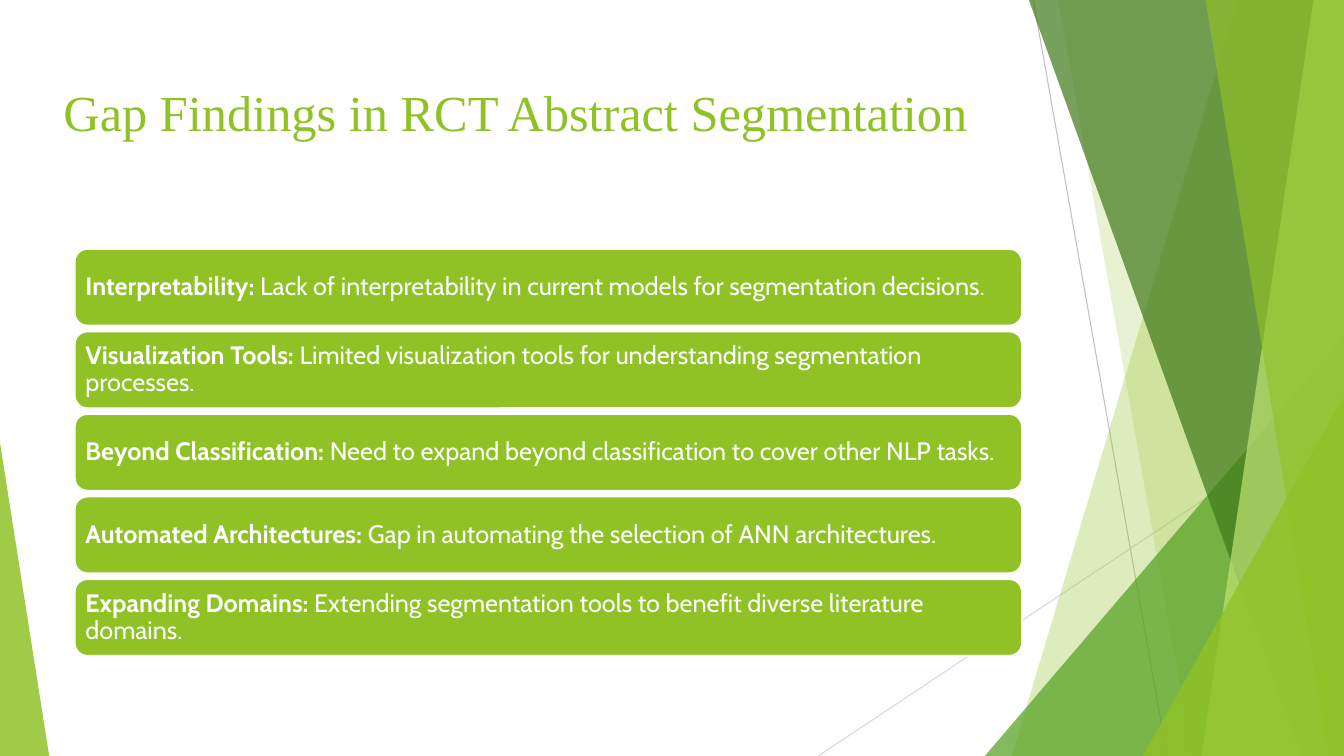
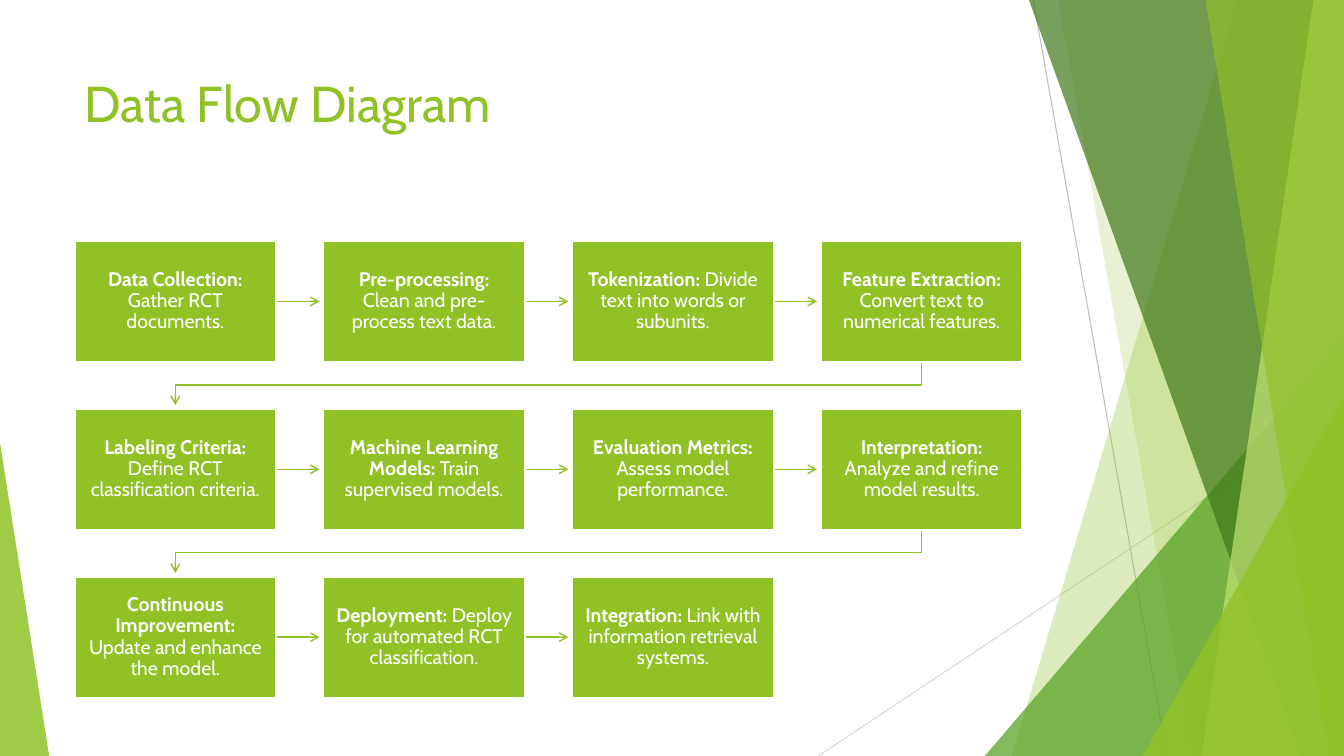
from lxml import etree
from pptx import Presentation
from pptx import util as u
from pptx.dml.color import RGBColor
from pptx.enum import shapes, text
from pptx.oxml import ns

GREEN = RGBColor(0x90, 0xC2, 0x26)
LEAF = RGBColor(0x54, 0xA0, 0x21)
DARK = RGBColor(0x3F, 0x78, 0x19)
LIME = RGBColor(0xC0, 0xE4, 0x74)
GREY = RGBColor(0xBF, 0xBF, 0xBF)
PALE = RGBColor(0xD9, 0xD9, 0xD9)
WHITE = RGBColor(0xFF, 0xFF, 0xFF)

WIDE, HIGH = 33.87, 19.05
LEFT = 1.88

GAPS = [
    ("Interpretability:", " Lack of interpretability in current models for segmentation decisions."),
    ("Visualization Tools:", " Limited visualization tools for understanding segmentation processes."),
    ("Beyond Classification:", " Need to expand beyond classification to cover other NLP tasks."),
    ("Automated Architectures:", " Gap in automating the selection of ANN architectures."),
    ("Expanding Domains:", " Extending segmentation tools to benefit diverse literature domains."),
]

STEPS = [
    ("Data Collection: ", "Gather RCT documents."),
    ("Pre-processing: ", "Clean and pre-process text data."),
    ("Tokenization: ", "Divide text into words or subunits."),
    ("Feature Extraction: ", "Convert text to numerical features."),
    ("Labeling Criteria: ", "Define RCT classification criteria."),
    ("Machine Learning Models: ", "Train supervised models."),
    ("Evaluation Metrics: ", "Assess model performance."),
    ("Interpretation: ", "Analyze and refine model results."),
    ("Continuous Improvement: ", "Update and enhance the model."),
    ("Deployment: ", "Deploy for automated RCT classification."),
    ("Integration: ", "Link with information retrieval systems."),
]


class Deck:
    font = "Cabin"

    def __init__(self):
        self.prs = Presentation()
        self.prs.slide_width = u.Cm(WIDE)
        self.prs.slide_height = u.Cm(HIGH)
        self.slide = None

    def page(self, title, left, top, width, font=font):
        self.slide = self.prs.slides.add_slide(self.prs.slide_layouts[6])
        self.decor()
        box = self.slide.shapes.add_textbox(u.Cm(left), u.Cm(top), u.Cm(width), u.Cm(3.6))
        frame = box.text_frame
        frame.word_wrap = True
        frame.text = title
        self.style(frame.paragraphs[0].runs[0], 36, GREEN, font)

    def decor(self):
        self.line(26.04, 0, 29.41, HIGH, GREY, 0.75)
        self.line(WIDE, 10.24, 20.62, HIGH, PALE, 0.75)
        self.band(31.19, 25.5, GREEN, 30)
        self.band(26.67, 30.05, GREEN, 20)
        self.wedge(24.82, 8.46, 9.05, 1, LEAF, 72)
        self.band(25.93, 32.79, DARK, 70)
        self.band(33.1, 30.28, LIME, 70)
        self.band(30.38, 33.48, GREEN, 65)
        self.wedge(28.8, 9.98, 5.07, 1, GREEN, 80)
        self.wedge(0, 11.15, 1.24, 0, GREEN, 85)

    def style(self, run, size, color, font=font, bold=False):
        run.font.size = u.Pt(size)
        run.font.name = font
        run.font.bold = bold
        run.font.color.rgb = color

    def tint(self, shape, color, alpha):
        shape.shadow.inherit = False
        shape.fill.solid()
        shape.fill.fore_color.rgb = color
        shape.line.fill.background()
        tone = shape.element.spPr.find(".//" + ns.qn("a:srgbClr"))
        etree.SubElement(tone, ns.qn("a:alpha"), val=str(alpha * 1000))

    def trace(self, points, close):
        first, *rest = [(u.Cm(x), u.Cm(y)) for x, y in points]
        form = self.slide.shapes.build_freeform(*first)
        form.add_line_segments(rest, close=close)
        return form.convert_to_shape()

    def band(self, top, foot, color, alpha):
        points = [(top, 0), (WIDE, 0), (WIDE, HIGH), (foot, HIGH)]
        self.tint(self.trace(points, True), color, alpha)

    def wedge(self, left, top, width, peak, color, alpha):
        shape = self.slide.shapes.add_shape(
            shapes.MSO_SHAPE.ISOSCELES_TRIANGLE,
            u.Cm(left), u.Cm(top), u.Cm(width), u.Cm(HIGH - top))
        shape.adjustments[0] = peak
        self.tint(shape, color, alpha)

    def line(self, x1, y1, x2, y2, color, width):
        line = self.slide.shapes.add_connector(
            shapes.MSO_CONNECTOR.STRAIGHT, u.Cm(x1), u.Cm(y1), u.Cm(x2), u.Cm(y2))
        line.line.color.rgb = color
        line.line.width = u.Pt(width)
        etree.SubElement(line.element.spPr, ns.qn("a:effectLst"))
        return line

    def tip(self, shape):
        edge = shape.element.spPr.find(ns.qn("a:ln"))
        etree.SubElement(edge, ns.qn("a:tailEnd"), type="arrow")

    def arrow(self, left, top, length):
        self.tip(self.line(left, top, left + length, top, GREEN, 1))

    def elbow(self, points):
        shape = self.trace(points, False)
        shape.shadow.inherit = False
        shape.fill.background()
        shape.line.color.rgb = GREEN
        shape.line.width = u.Pt(1)
        self.tip(shape)

    def card(self, kind, left, top, width, height, words, size, inset, align):
        shape = self.slide.shapes.add_shape(
            kind, u.Cm(left), u.Cm(top), u.Cm(width), u.Cm(height))
        shape.shadow.inherit = False
        shape.fill.solid()
        shape.fill.fore_color.rgb = GREEN
        shape.line.color.rgb = WHITE
        shape.line.width = u.Pt(1.5)
        frame = shape.text_frame
        frame.word_wrap = True
        frame.vertical_anchor = text.MSO_ANCHOR.MIDDLE
        frame.margin_left = frame.margin_right = u.Cm(inset)
        frame.margin_top = frame.margin_bottom = u.Cm(inset)
        para = frame.paragraphs[0]
        para.alignment = align
        para.line_spacing = 0.9
        for part, bold in zip(words, (True, False)):
            run = para.add_run()
            run.text = part
            self.style(run, size, WHITE, bold=bold)


def gaps(deck):
    deck.page("Gap Findings in RCT Abstract Segmentation", 1.35, 1.93, 25.88, "Times New Roman")
    for row, words in enumerate(GAPS):
        deck.card(shapes.MSO_SHAPE.ROUNDED_RECTANGLE, LEFT, 6.27 + row * 2.08, 23.88, 1.94,
                  words, 18, 0.18, text.PP_ALIGN.LEFT)


def flow(deck):
    deck.page("Data Flow Diagram", LEFT, 1.7, 23.88)
    cols, width, height = 4, 5.08, 3.05
    step, drop, reach = 6.27, 4.23, 1.09
    for i, words in enumerate(STEPS):
        row, col = divmod(i, cols)
        left, top = LEFT + col * step, 6.07 + row * drop
        mid, foot = left + width / 2, top + height
        if col == cols - 1:
            home, turn = LEFT + width / 2, foot + 0.58
            deck.elbow([(mid, foot), (mid, turn), (home, turn), (home, foot + reach)])
        elif i < len(STEPS) - 1:
            deck.arrow(left + width, top + height / 2, reach)
        deck.card(shapes.MSO_SHAPE.RECTANGLE, left, top, width, height,
                  words, 14, 0.25, text.PP_ALIGN.CENTER)


def main():
    deck = Deck()
    gaps(deck)
    flow(deck)
    deck.prs.save("out.pptx")


if __name__ == "__main__":
    main()
